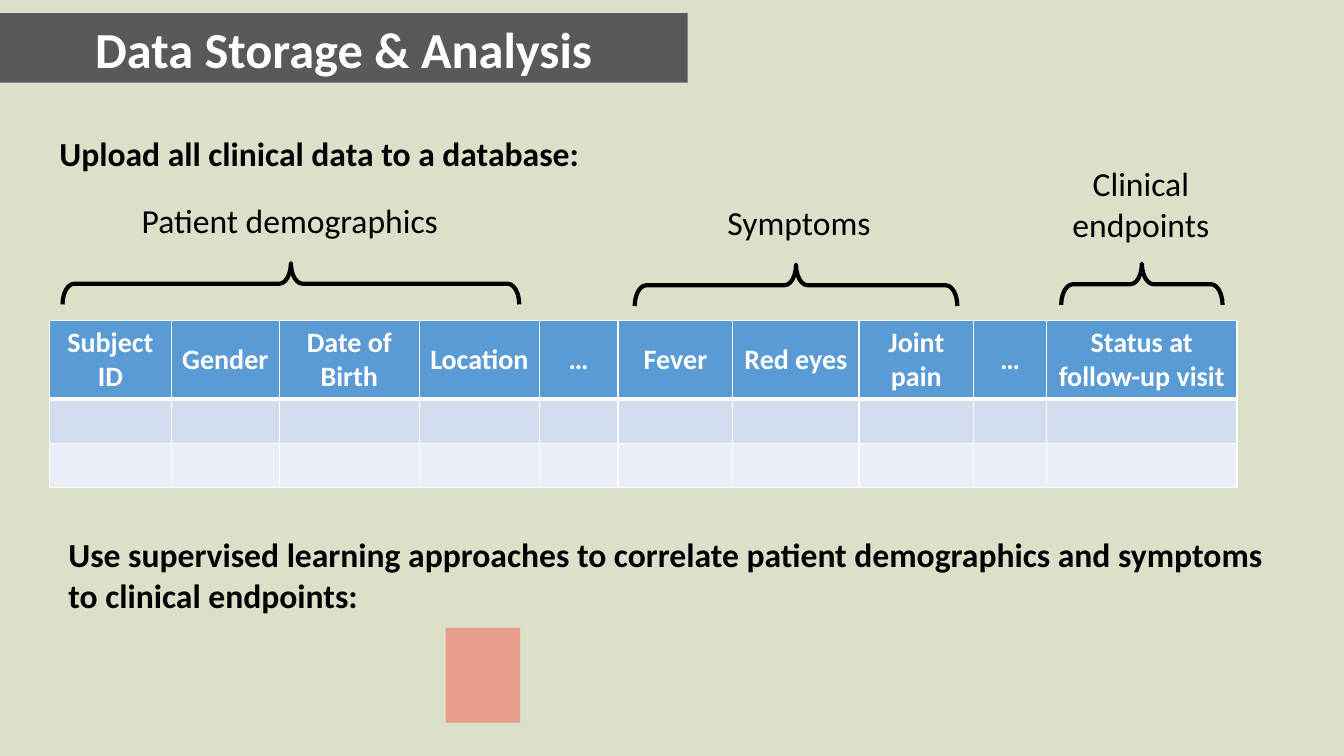
"""Build the Data Storage & Analysis slide."""
from dataclasses import dataclass

import lxml.etree
import pptx
import pptx.dml.color
import pptx.enum.shapes
import pptx.enum.text
import pptx.oxml.ns
import pptx.shapes.autoshape
import pptx.slide
import pptx.table
import pptx.text.text
import pptx.util

RGB = pptx.dml.color.RGBColor
ALIGN = pptx.enum.text.PP_ALIGN
ANCHOR = pptx.enum.text.MSO_ANCHOR
FIT = pptx.enum.text.MSO_AUTO_SIZE
SHAPE = pptx.enum.shapes.MSO_SHAPE
qn = pptx.oxml.ns.qn

BLACK = RGB(0x00, 0x00, 0x00)
WHITE = RGB(0xFF, 0xFF, 0xFF)
SAGE = RGB(0xDD, 0xE0, 0xC9)
GREY = RGB(0x59, 0x59, 0x59)
RED = RGB(0xFF, 0x00, 0x00)
BLUE = RGB(0x5B, 0x9B, 0xD5)
LIGHT = RGB(0xD2, 0xDE, 0xEF)
PALE = RGB(0xEA, 0xEF, 0xF7)

FONT = "Calibri"
SCALE = 9144
DEPTH = 41


@dataclass(frozen=True)
class Box:
    left: int
    top: int
    width: int
    height: int

    def emu(self) -> tuple[int, ...]:
        return tuple(n * SCALE for n in (self.left, self.top, self.width, self.height))


@dataclass(frozen=True)
class Note:
    text: str
    box: Box
    bold: bool = False
    wrap: bool = False


@dataclass(frozen=True)
class Brace:
    left: int
    top: int
    span: int


@dataclass(frozen=True)
class Column:
    head: str
    width: int


@dataclass(frozen=True)
class Row:
    height: int
    fill: RGB
    above: int
    below: int


NOTES = (
    Note("Upload all clinical data to a database:", Box(49, 127, 541, 50), bold=True),
    Note("Use supervised learning approaches to correlate patient demographics "
         "and symptoms to clinical endpoints:", Box(58, 525, 1210, 91), bold=True, wrap=True),
    Note("Patient demographics", Box(129, 193, 317, 50)),
    Note("Symptoms", Box(711, 195, 163, 50)),
    Note("Clinical endpoints", Box(1049, 157, 165, 91), wrap=True),
)
BRACES = (Brace(62, 261, 453), Brace(630, 262, 320), Brace(1053, 261, 160))
COLUMNS = (
    Column("Subject ID", 121), Column("Gender", 107), Column("Date of Birth", 139),
    Column("Location", 119), Column("…", 78), Column("Fever", 114),
    Column("Red eyes", 125), Column("Joint pain", 114), Column("…", 72),
    Column("Status at follow-up visit", 189),
)
ROWS = (Row(78, BLUE, 1, 3), Row(44, LIGHT, 3, 1), Row(44, PALE, 1, 1))


def write(frame: pptx.text.text.TextFrame, text: str, *, size: int = 24,
          bold: bool = False, color: RGB = BLACK, align: ALIGN = ALIGN.CENTER) -> None:
    frame.text = text
    line = frame.paragraphs[0]
    line.alignment = align
    font = line.runs[0].font
    font.name = FONT
    font.size = pptx.util.Pt(size)
    font.bold = bold
    font.color.rgb = color


def add_title(slide: pptx.slide.Slide) -> None:
    title = slide.shapes.title
    title.left, title.top, title.width, title.height = Box(0, 13, 682, 69).emu()
    title.fill.solid()
    title.fill.fore_color.rgb = GREY
    frame = title.text_frame
    frame.auto_size = FIT.NONE
    frame.vertical_anchor = ANCHOR.MIDDLE
    write(frame, "Data Storage & Analysis", size=36, bold=True, color=WHITE)


def add_note(slide: pptx.slide.Slide, note: Note) -> None:
    frame = slide.shapes.add_textbox(*note.box.emu()).text_frame
    frame.word_wrap = note.wrap
    frame.auto_size = FIT.SHAPE_TO_FIT_TEXT
    write(frame, note.text, bold=note.bold, align=ALIGN.LEFT if note.bold else ALIGN.CENTER)


def add_shape(slide: pptx.slide.Slide, kind: SHAPE, box: Box) -> pptx.shapes.autoshape.Shape:
    shape = slide.shapes.add_shape(kind, *box.emu())
    shape.shadow.inherit = False
    return shape


def add_brace(slide: pptx.slide.Slide, brace: Brace) -> None:
    left = brace.left + (brace.span - DEPTH) // 2
    top = brace.top - (brace.span - DEPTH) // 2
    shape = add_shape(slide, SHAPE.LEFT_BRACE, Box(left, top, DEPTH, brace.span))
    shape.rotation = 90
    shape.adjustments[0] = 0.28
    shape.fill.background()
    shape.line.color.rgb = BLACK
    shape.line.width = pptx.util.Pt(3)


def add_patch(slide: pptx.slide.Slide) -> None:
    patch = add_shape(slide, SHAPE.RECTANGLE, Box(442, 623, 74, 94))
    patch.fill.solid()
    patch.fill.fore_color.rgb = RED
    patch.line.fill.background()
    color = patch.fill._xPr.find(qn("a:solidFill"))[0]
    lxml.etree.SubElement(color, qn("a:alpha"), val="30000")


def paint(cell: pptx.table._Cell, row: Row) -> None:
    props = cell._tc.get_or_add_tcPr()
    for side, width in (("L", 1), ("R", 1), ("T", row.above), ("B", row.below)):
        edge = lxml.etree.SubElement(props, qn(f"a:ln{side}"), w=str(pptx.util.Pt(width)))
        fill = lxml.etree.SubElement(edge, qn("a:solidFill"))
        lxml.etree.SubElement(fill, qn("a:srgbClr"), val=str(WHITE))
    cell.fill.solid()
    cell.fill.fore_color.rgb = row.fill
    cell.vertical_anchor = ANCHOR.MIDDLE


def add_grid(slide: pptx.slide.Slide) -> None:
    box = Box(49, 318, sum(col.width for col in COLUMNS), sum(row.height for row in ROWS))
    table = slide.shapes.add_table(len(ROWS), len(COLUMNS), *box.emu()).table
    table.horz_banding = False
    for y, row in enumerate(ROWS):
        table.rows[y].height = row.height * SCALE
        for x in range(len(COLUMNS)):
            paint(table.cell(y, x), row)
    for x, col in enumerate(COLUMNS):
        table.columns[x].width = col.width * SCALE
        write(table.cell(0, x).text_frame, col.head, size=20, bold=True, color=WHITE)


def main() -> None:
    deck = pptx.Presentation()
    deck.slide_width, deck.slide_height = 1333 * SCALE, 750 * SCALE
    slide = deck.slides.add_slide(deck.slide_layouts[5])
    slide.background.fill.solid()
    slide.background.fill.fore_color.rgb = SAGE
    add_title(slide)
    add_grid(slide)
    for note in NOTES:
        add_note(slide, note)
    for brace in BRACES:
        add_brace(slide, brace)
    add_patch(slide)
    deck.save("out.pptx")


if __name__ == "__main__":
    main()
